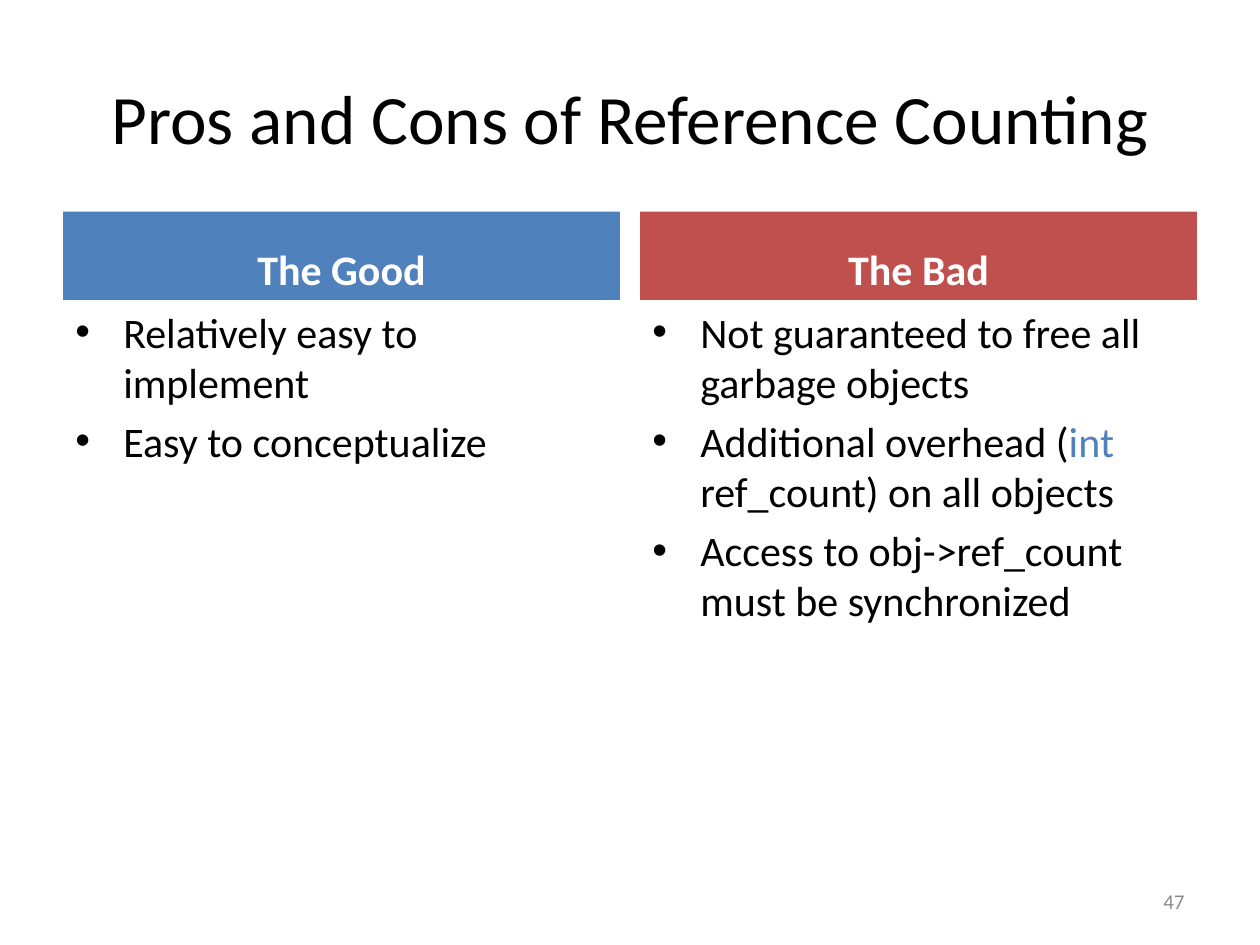
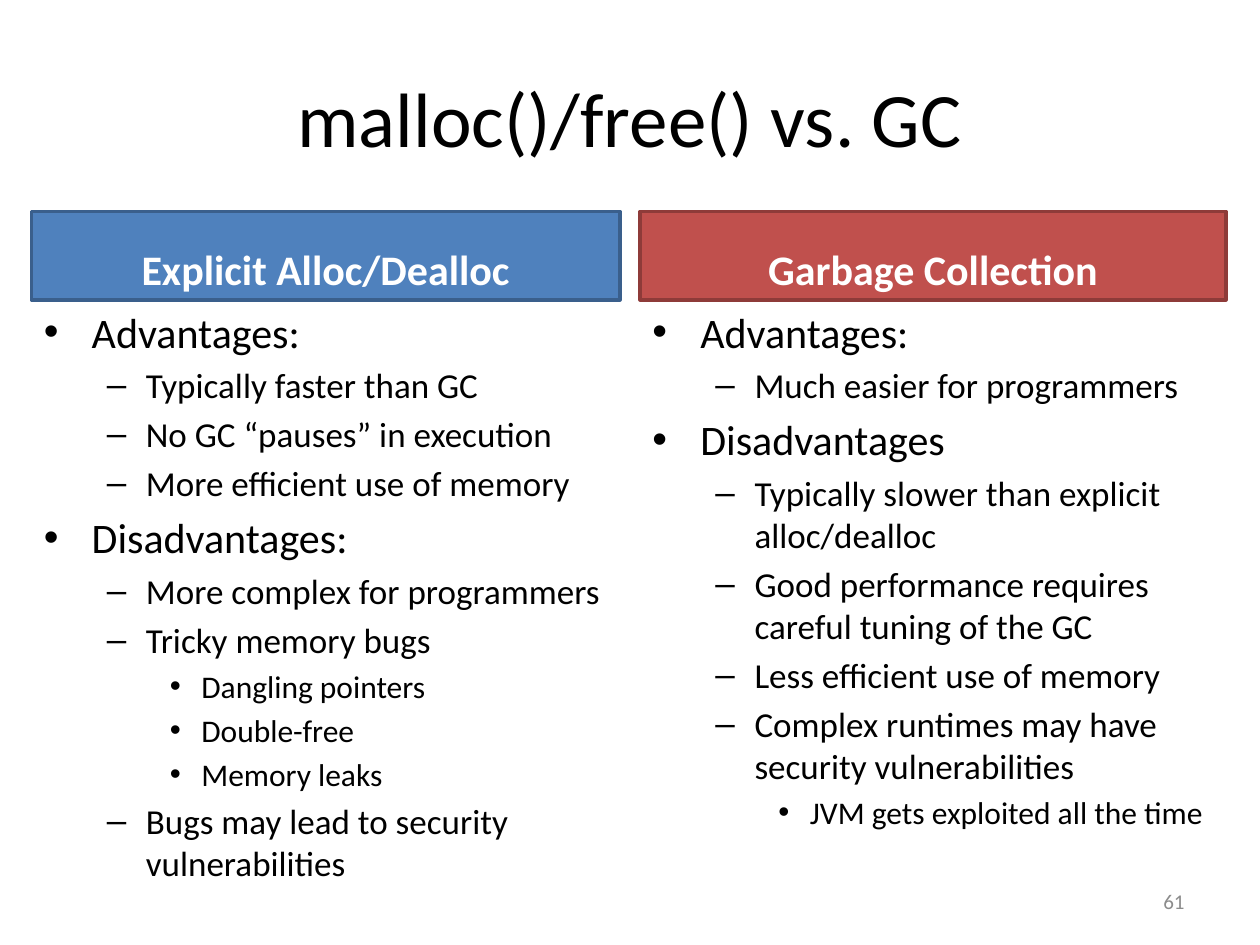
from lxml.etree import SubElement
from pptx import Presentation
from pptx.dml.color import RGBColor
from pptx.enum.shapes import MSO_SHAPE
from pptx.enum.text import MSO_ANCHOR, MSO_AUTO_SIZE, PP_ALIGN
from pptx.oxml.ns import qn
from pptx.util import Inches, Pt

# Shared style
COLORS = {"text": "000000", "white": "FFFFFF", "blue": "4F81BD", "red": "C0504D",
          "blue_edge": "3A5F8C", "red_edge": "8E3B39", "number": "8C8C8C"}
FONT = "Calibri"
# Per outline level: size, left margin, hanging indent, bullet
LEVELS = [(24, 0.38, 0.38, "\u2022"), (20, 0.81, 0.31, "\u2013"), (18, 1.25, 0.25, "\u2022")]
BAND_TOP, BAND_HEIGHT = 1.68, 0.7
BODY_TOP = BAND_TOP + BAND_HEIGHT

# Each bullet is (level, text); a list of (text, colour) makes several runs
SLIDES = [
    {"title": "Pros and Cons of Reference Counting", "title_size": 39.6,
     "number": "47", "outlined": False, "body_height": 4.32,
     "columns": [
         (0.5, 4.42, "blue", "The Good", [
             (0, "Relatively easy to implement"),
             (0, "Easy to conceptualize")]),
         (5.08, 4.42, "red", "The Bad", [
             (0, "Not guaranteed to free all garbage objects"),
             (0, [("Additional overhead (", "text"), ("int ", "blue"),
                  ("ref_count) on all objects", "text")]),
             (0, "Access to obj->ref_count must be synchronized")])]},
    {"title": "malloc()/free() vs. GC", "title_size": 44,
     "number": "61", "outlined": True, "body_height": 4.85,
     "columns": [
         (0.25, 4.67, "blue", "Explicit Alloc/Dealloc", [
             (0, "Advantages:"),
             (1, "Typically faster than GC"),
             (1, "No GC \u201cpauses\u201d in execution"),
             (1, "More efficient use of memory"),
             (0, "Disadvantages:"),
             (1, "More complex for programmers"),
             (1, "Tricky memory bugs"),
             (2, "Dangling pointers"),
             (2, "Double-free"),
             (2, "Memory leaks"),
             (1, "Bugs may lead to security vulnerabilities")]),
         (5.08, 4.65, "red", "Garbage Collection", [
             (0, "Advantages:"),
             (1, "Much easier for programmers"),
             (0, "Disadvantages"),
             (1, "Typically slower than explicit alloc/dealloc"),
             (1, "Good performance requires careful tuning of the GC"),
             (1, "Less efficient use of memory"),
             (1, "Complex runtimes may have security vulnerabilities"),
             (2, "JVM gets exploited all the time")])]},
]


def add_run(p, text, size, color="text", bold=False):
    r = p.add_run()
    r.text = text
    for name, value in {"name": FONT, "size": Pt(size), "bold": bold}.items():
        setattr(r.font, name, value)
    r.font.color.rgb = RGBColor.from_string(COLORS[color])


def set_frame(sp, anchor, align):
    tf = sp.text_frame
    for name, value in {"word_wrap": True, "auto_size": MSO_AUTO_SIZE.NONE,
                        "vertical_anchor": anchor}.items():
        setattr(tf, name, value)
    tf.paragraphs[0].alignment = align
    return tf


prs = Presentation()
prs.slide_width, prs.slide_height = Inches(10), Inches(7.5)

for page in SLIDES:
    s = prs.slides.add_slide(prs.slide_layouts[5])

    # Title
    title = s.shapes.title
    for name, value in {"left": 0.5, "top": 0.3, "width": 9, "height": 1.25}.items():
        setattr(title, name, Inches(value))
    tf = set_frame(title, MSO_ANCHOR.MIDDLE, PP_ALIGN.CENTER)
    add_run(tf.paragraphs[0], page["title"], page["title_size"])

    for left, width, color, heading, bullets in page["columns"]:
        # Heading band
        band = s.shapes.add_shape(MSO_SHAPE.RECTANGLE, Inches(left), Inches(BAND_TOP),
                                  Inches(width), Inches(BAND_HEIGHT))
        band.shadow.inherit = False
        band.fill.solid()
        band.fill.fore_color.rgb = RGBColor.from_string(COLORS[color])
        if page["outlined"]:
            band.line.color.rgb = RGBColor.from_string(COLORS[color + "_edge"])
            band.line.width = Pt(2)
        else:
            band.line.fill.background()
        tf = set_frame(band, MSO_ANCHOR.BOTTOM, PP_ALIGN.CENTER)
        add_run(tf.paragraphs[0], heading, 24, "white", True)

        # Bulleted list
        body = s.shapes.add_textbox(Inches(left), Inches(BODY_TOP),
                                    Inches(width), Inches(page["body_height"]))
        tf = set_frame(body, MSO_ANCHOR.TOP, PP_ALIGN.LEFT)
        for i, (level, content) in enumerate(bullets):
            size, margin, hang, bullet = LEVELS[level]
            p = tf.add_paragraph() if i else tf.paragraphs[0]
            p.level = level
            p.space_before = Pt(size * 0.2)
            pPr = p._p.get_or_add_pPr()
            pPr.set("marL", str(Inches(margin)))
            pPr.set("indent", str(-Inches(hang)))
            SubElement(pPr, qn("a:buFont")).set("typeface", "Arial")
            SubElement(pPr, qn("a:buChar")).set("char", bullet)
            runs = [(content, "text")] if isinstance(content, str) else content
            for text, run_color in runs:
                add_run(p, text, size, run_color)

    # Slide number
    number = s.shapes.add_textbox(Inches(7.17), Inches(6.95), Inches(2.33), Inches(0.4))
    tf = set_frame(number, MSO_ANCHOR.MIDDLE, PP_ALIGN.RIGHT)
    add_run(tf.paragraphs[0], page["number"], 12, "number")

prs.save("out.pptx")
